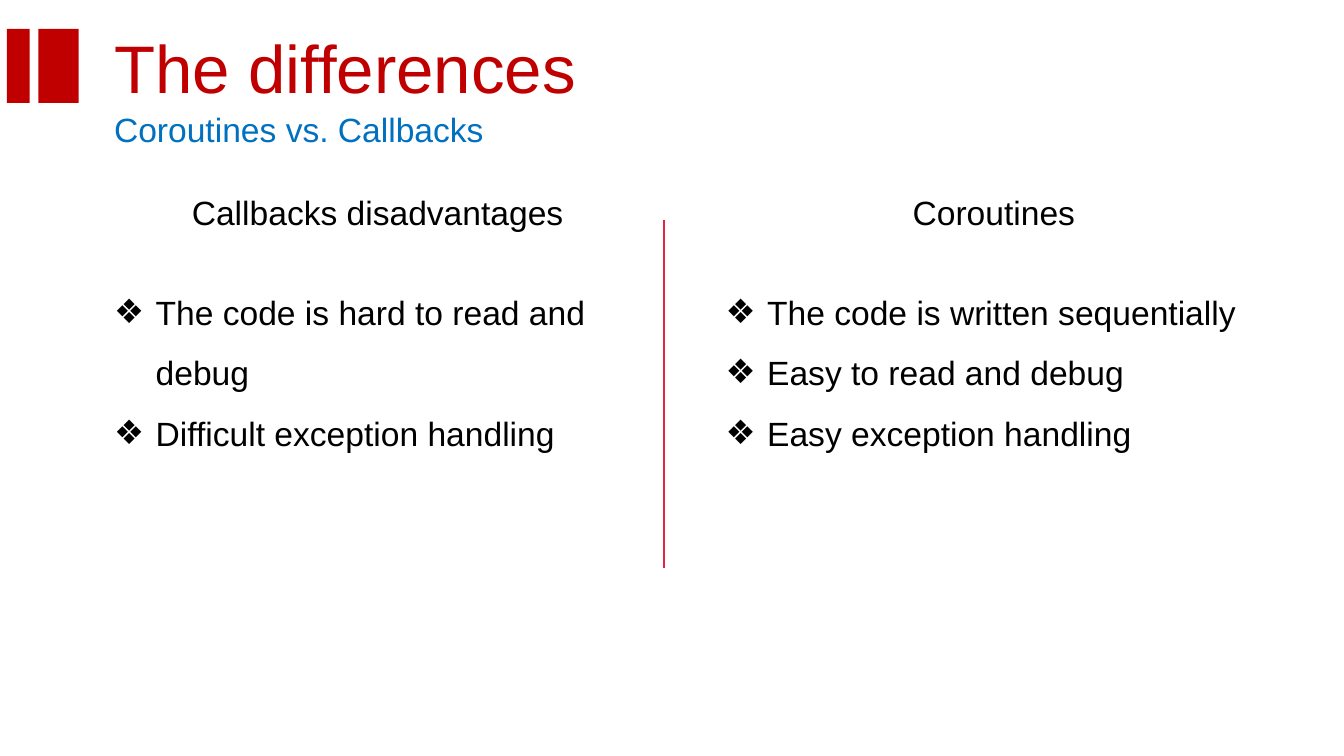
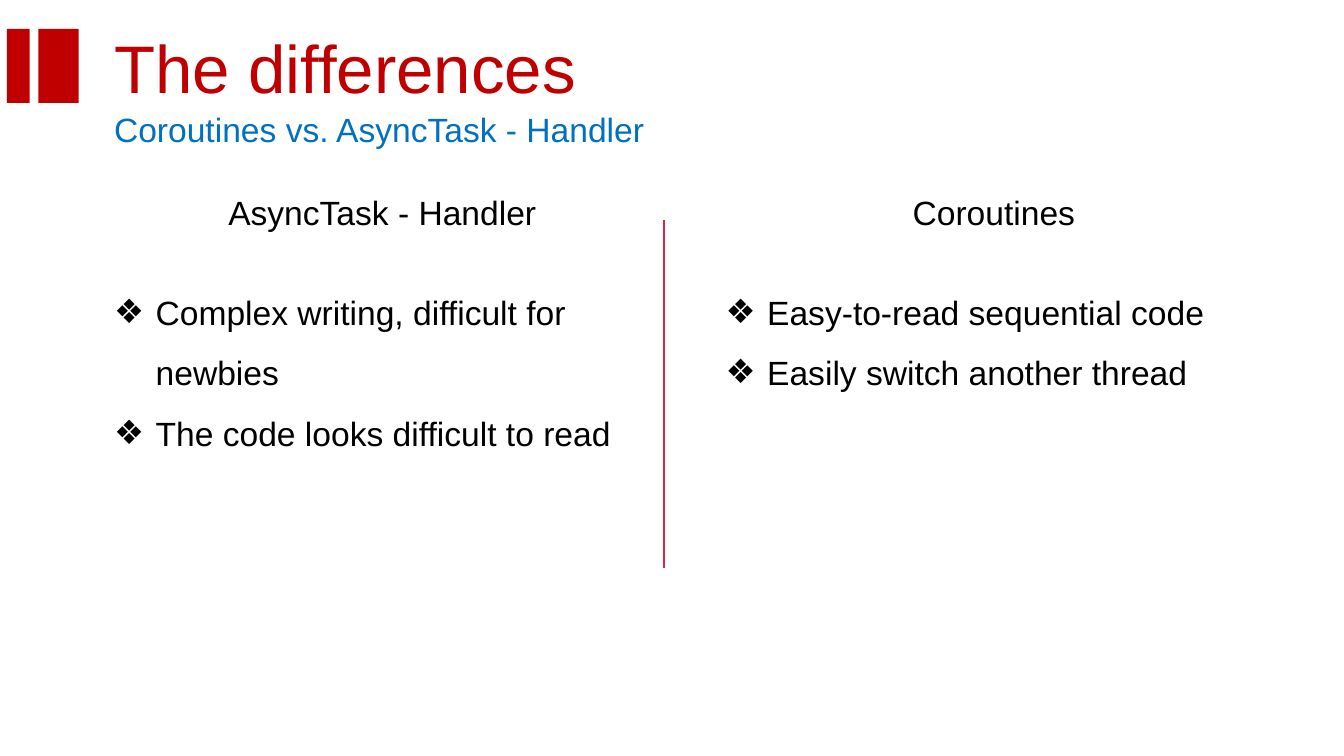
"""Build two comparison slides on coroutines and their alternatives."""
from dataclasses import dataclass

from lxml import etree
from pptx import Presentation, util as u
from pptx.dml.color import RGBColor
from pptx.enum import shapes, text
from pptx.oxml.ns import qn

TITLE = "The differences"
SLIDES = [
    {
        "subtitle": "Coroutines vs. Callbacks",
        "header_widths": (6.89, 3.15),
        "columns": [
            ("Callbacks disadvantages ",
             ["The code is hard to read and debug", "Difficult exception handling"], 3),
            ("Coroutines",
             ["The code is written sequentially", "Easy to read and debug",
              "Easy exception handling"], 3),
        ],
    },
    {
        "subtitle": "Coroutines vs. AsyncTask - Handler",
        "header_widths": (5.71, 4.68),
        "columns": [
            ("AsyncTask - Handler",
             ["Complex writing, difficult for newbies", "The code looks difficult to read"], 3),
            ("Coroutines",
             ["Easy-to-read sequential code", "Easily switch another thread"], 2),
        ],
    },
]


@dataclass(frozen=True)
class Theme:
    font: str = "Arial"
    red: str = "C00000"
    blue: str = "0070C0"
    black: str = "000000"
    rule: str = "E52344"
    title_size: int = 36
    body_size: int = 18
    bullet: str = "❖"
    indent: float = 0.31


T = Theme()
W = 10
H = W * 9 / 16
LEFT = 0.75
COL_W = 4.19
COL_X = (LEFT, 5.3)
HEADING_SPANS = ((1.11, 3.47), (6.06, 2.67))
HEADING_Y, BODY_Y = 1.38, 1.97
LABEL_H, BODY_PAD, BODY_LINE_H = 0.4, 0.1, 0.45
RULE_X, RULE_TOP, RULE_BOTTOM = LEFT + COL_W, 1.64, 4.23
BAR_LENGTH, BAR_MIDDLE = 0.55, 0.49
BARS = ((0.16, 0.3), (-0.14, 0.17))


def inches(*values):
    return [u.Inches(v) for v in values]


def add_text(s, box, lines, color=T.black, size=T.body_size, align=None, bullets=False):
    tf = s.shapes.add_textbox(*inches(*box)).text_frame
    tf.word_wrap = True
    tf.auto_size = text.MSO_AUTO_SIZE.SHAPE_TO_FIT_TEXT
    tf.text = "\n".join(lines)
    for p in tf.paragraphs:
        p.font.name, p.font.size = T.font, u.Pt(size)
        p.font.color.rgb = RGBColor.from_string(color)
        p.alignment = align
        if bullets:
            p.line_spacing = 1.5
            add_bullet(p)
    return tf


def add_bullet(p):
    pPr = p._p.get_or_add_pPr()
    indent = u.Inches(T.indent)
    pPr.set("marL", str(indent))
    pPr.set("indent", str(-indent))
    bu_color = etree.Element(qn("a:buClr"))
    etree.SubElement(bu_color, qn("a:srgbClr"), val=T.black)
    bu_font = etree.Element(qn("a:buFont"), typeface=T.font)
    bu_char = etree.Element(qn("a:buChar"), char=T.bullet)
    at = next((i for i, e in enumerate(pPr) if e.tag == qn("a:defRPr")), len(pPr))
    pPr[at:at] = [bu_color, bu_font, bu_char]


def add_header(s, subtitle, title_w, subtitle_w):
    tf = add_text(s, (LEFT, 0.15, title_w, 0.69), [TITLE], T.red, T.title_size)
    tf.auto_size = text.MSO_AUTO_SIZE.NONE
    tf.vertical_anchor = text.MSO_ANCHOR.MIDDLE
    add_text(s, (LEFT, 0.76, subtitle_w, LABEL_H), [subtitle], T.blue)
    for x, thickness in BARS:
        box = inches(x, BAR_MIDDLE - thickness / 2, BAR_LENGTH, thickness)
        sp = s.shapes.add_shape(shapes.MSO_SHAPE.RECTANGLE, *box)
        sp.rotation = 90
        sp.shadow.inherit = False
        sp.fill.solid()
        sp.fill.fore_color.rgb = RGBColor.from_string(T.red)
        sp.line.fill.background()


def add_rule(s):
    line = s.shapes.add_connector(
        shapes.MSO_CONNECTOR.STRAIGHT, *inches(RULE_X, RULE_TOP, RULE_X, RULE_BOTTOM))
    line.line.color.rgb = RGBColor.from_string(T.rule)
    line.line.width = u.Pt(0.75)
    etree.SubElement(line._element.spPr, qn("a:effectLst"))


def add_column(s, x, heading_span, heading, points, line_count):
    heading_x, heading_w = heading_span
    body_h = BODY_PAD + BODY_LINE_H * line_count
    add_text(s, (x, BODY_Y, COL_W, body_h), points, bullets=True)
    add_text(s, (heading_x, HEADING_Y, heading_w, LABEL_H), [heading],
             align=text.PP_ALIGN.CENTER)


def main():
    prs = Presentation()
    prs.slide_width, prs.slide_height = inches(W, H)
    for content in SLIDES:
        s = prs.slides.add_slide(prs.slide_layouts[6])
        add_header(s, content["subtitle"], *content["header_widths"])
        for x, span, column in zip(COL_X, HEADING_SPANS, content["columns"]):
            add_column(s, x, span, *column)
        add_rule(s)
    prs.save("out.pptx")


if __name__ == "__main__":
    main()
